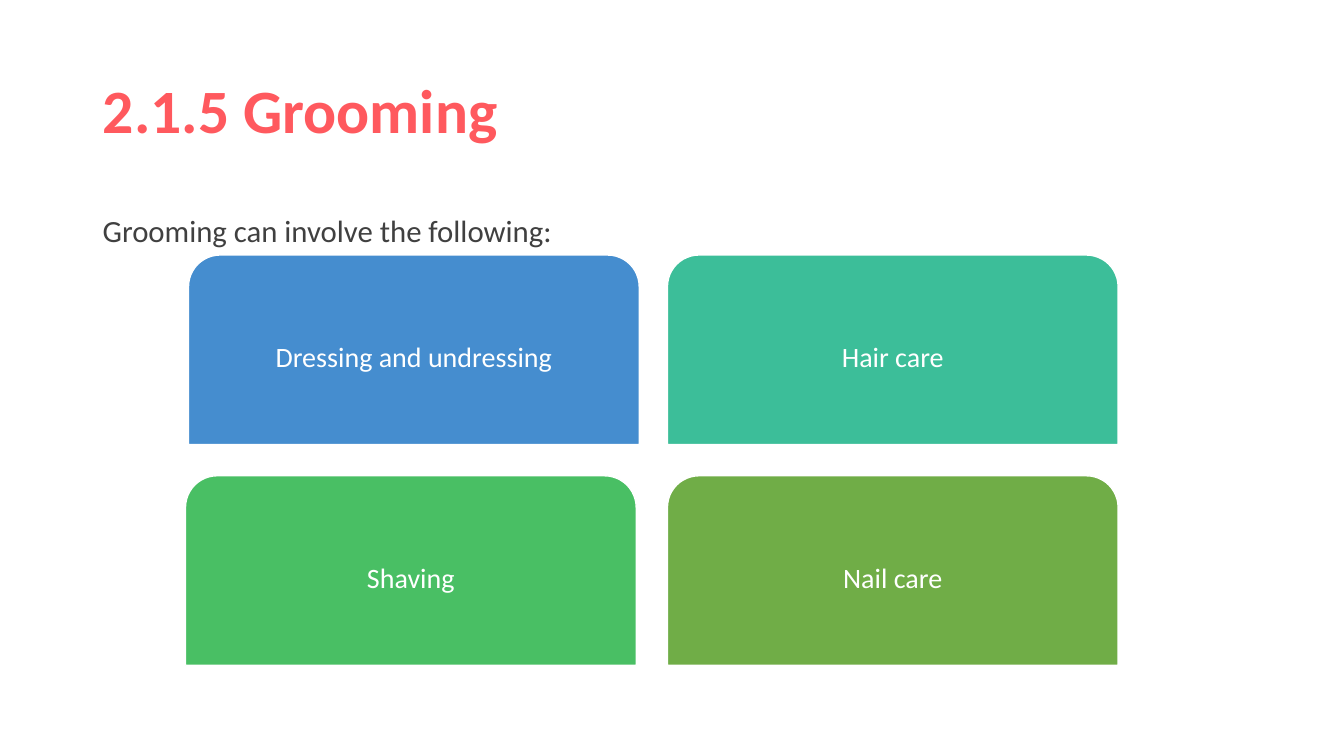
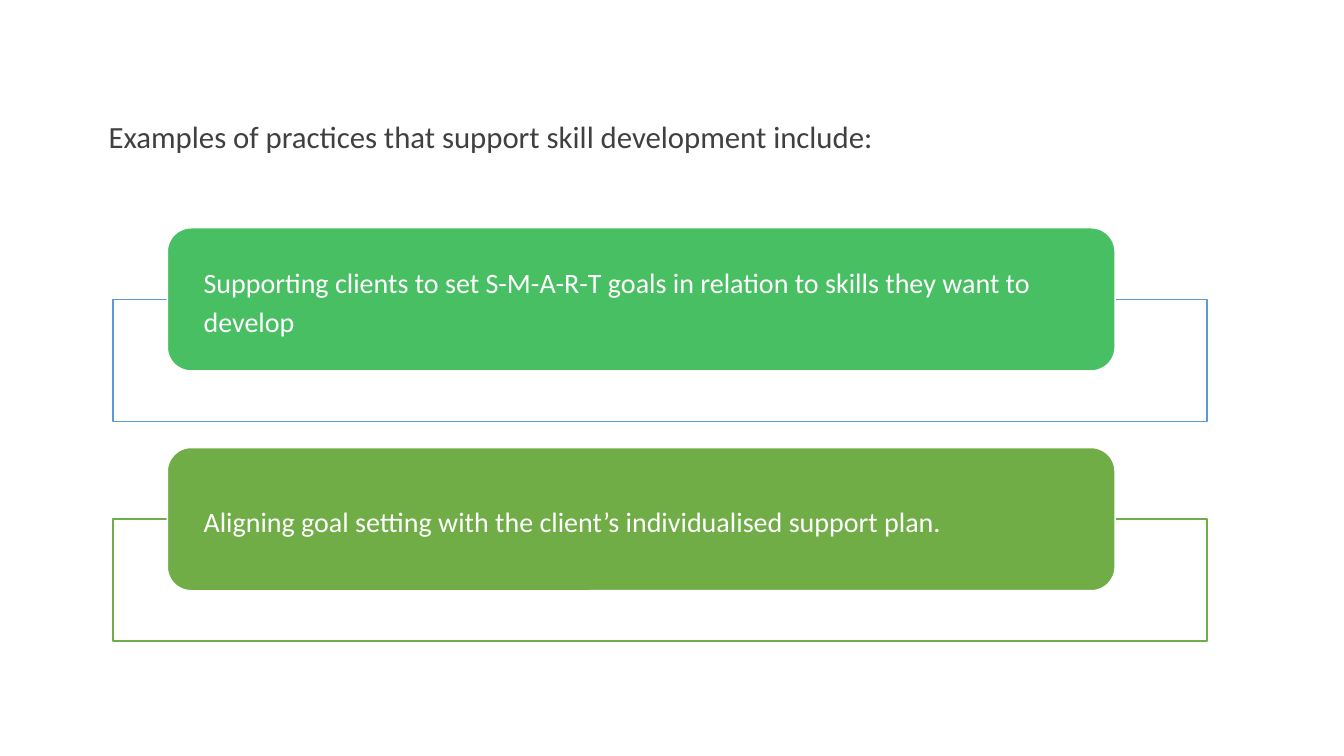
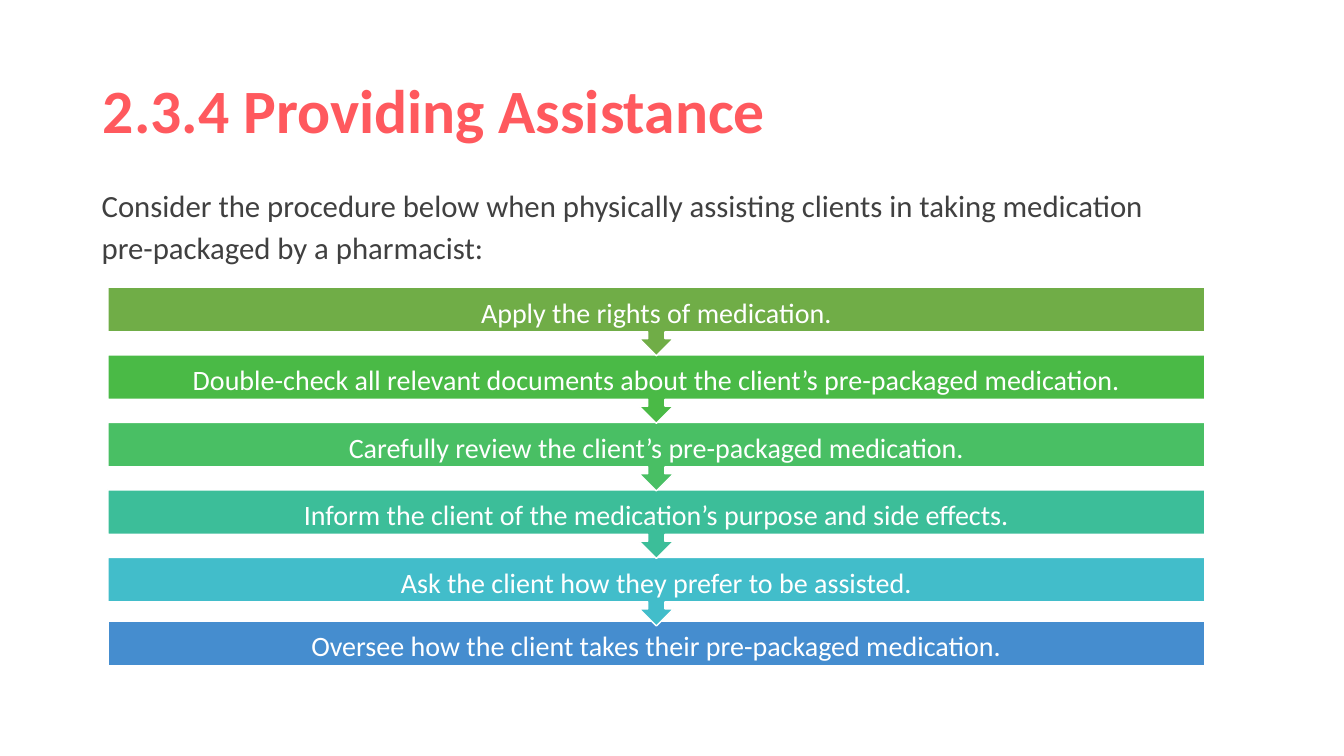
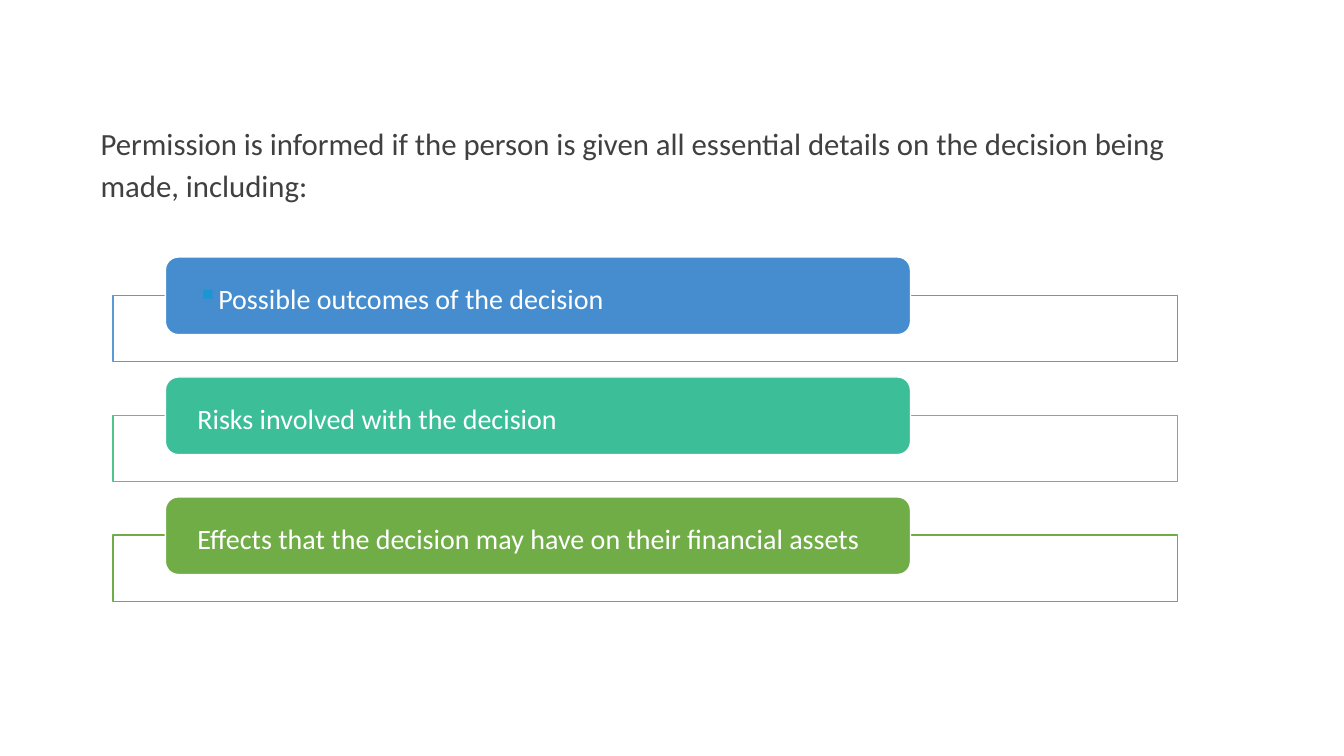
from dataclasses import dataclass

from lxml.etree import SubElement
from pptx import Presentation
from pptx.dml.color import RGBColor
from pptx.enum.shapes import MSO_SHAPE
from pptx.enum.text import MSO_ANCHOR, PP_ALIGN
from pptx.oxml.ns import qn
from pptx.util import Inches, Pt

FONT = "Calibri"
WHITE = "FFFFFF"
CORAL = "FF595E"
GREY = "404040"
BLUE = "458DCF"
SKY = "5B9BD5"
CYAN = "42BDCA"
TEAL = "3CBE99"
MINT = "4DC58D"
GREEN = "49BF64"
LEAF = "4ABA46"
OLIVE = "70AD47"
DOT = "1C96D3"


@dataclass(frozen=True)
class Box:
    left: float
    top: float
    width: float
    height: float

    def spans(self) -> list:
        return [Inches(v) for v in (self.left, self.top, self.width, self.height)]


@dataclass(frozen=True)
class Item:
    text: str
    fill: str
    line: str = WHITE
    mark: str = ""


@dataclass(frozen=True)
class Stack:
    frame: Box
    label: Box
    step: float
    inset: float


def paint(hue: str) -> RGBColor:
    return RGBColor.from_string(hue)


def write(shape, text: str, *, size: float = 20, hue: str = WHITE, bold: bool = False,
          align=PP_ALIGN.LEFT, anchor=MSO_ANCHOR.MIDDLE, space: float = 1.14,
          after: float = 6, inset: tuple = (0.1, 0.05), mark: str = "") -> None:
    frame = shape.text_frame
    frame.word_wrap = True
    frame.vertical_anchor = anchor
    frame.margin_left = frame.margin_right = Inches(inset[0])
    frame.margin_top = frame.margin_bottom = Inches(inset[1])
    para = frame.paragraphs[0]
    para.text = text
    if mark:
        props = para._p.get_or_add_pPr()
        props.set("marL", "0")
        props.set("indent", "0")
        tint = SubElement(props, qn("a:buClr"))
        SubElement(tint, qn("a:srgbClr")).set("val", DOT)
        SubElement(props, qn("a:buChar")).set("char", mark)
    para.alignment = align
    para.line_spacing = space
    para.space_before = Pt(0)
    para.space_after = Pt(after)
    font = para.font
    font.name = FONT
    font.size = Pt(size)
    font.bold = bold
    font.color.rgb = paint(hue)


def draw(slide, kind, box: Box, fill: str, line: str = WHITE):
    shape = slide.shapes.add_shape(kind, *box.spans())
    shape.shadow.inherit = False
    shape.fill.solid()
    shape.fill.fore_color.rgb = paint(fill)
    shape.line.color.rgb = paint(line)
    shape.line.width = Pt(1)
    return shape


def start(deck, lead: str, left: float, top: float, title: str = ""):
    slide = deck.slides.add_slide(deck.slide_layouts[5 if title else 6])
    if title:
        head = slide.shapes.title
        head.left, head.top, head.width, head.height = Box(0.92, 0.4, 11.03, 1.45).spans()
        write(head, title, size=44, hue=CORAL, bold=True, space=0.9, after=0)
    body = slide.shapes.add_textbox(*Box(left, top, 11.03, 4.76).spans())
    write(body, lead, size=22, hue=GREY, anchor=MSO_ANCHOR.TOP)
    return slide


def tiles(slide, rows: list) -> None:
    for row, (left, pair) in enumerate(rows):
        for x, item in zip((left, 6.62), pair):
            box = Box(x, 2.53 + 2.19 * row, 4.47, 1.88)
            tile = draw(slide, MSO_SHAPE.ROUND_2_SAME_RECTANGLE, box, item.fill)
            write(tile, item.text, align=PP_ALIGN.CENTER, inset=(0.08, 0.08))


def stack(slide, plan: Stack, items: list) -> None:
    for i, item in enumerate(items):
        frame, label = (Box(b.left, b.top + i * plan.step, b.width, b.height)
                        for b in (plan.frame, plan.label))
        draw(slide, MSO_SHAPE.RECTANGLE, frame, WHITE, item.line)
        card = draw(slide, MSO_SHAPE.ROUNDED_RECTANGLE, label, item.fill)
        write(card, item.text, inset=(plan.inset, 0), mark=item.mark)


def flow(slide, items: list) -> None:
    last = len(items) - 1
    for i, item in reversed(list(enumerate(items))):
        if i == last:
            kind, box = MSO_SHAPE.RECTANGLE, Box(1.07, 6.16, 10.88, 0.44)
        else:
            kind, box = MSO_SHAPE.DOWN_ARROW_CALLOUT, Box(1.07, 2.85 + 0.67 * i, 10.88, 0.68)
        bar = draw(slide, kind, box, item.fill)
        write(bar, item.text, align=PP_ALIGN.CENTER, inset=(0.16, 0.16))


def main() -> None:
    deck = Presentation()
    deck.slide_width, deck.slide_height = Inches(13.33), Inches(7.5)

    slide = start(deck, "Grooming can involve the following:", 0.92, 2, "2.1.5 Grooming")
    tiles(slide, [
        (1.87, (Item("Dressing and undressing", BLUE), Item("Hair care", TEAL))),
        (1.84, (Item("Shaving", GREEN), Item("Nail care", OLIVE))),
    ])

    slide = start(deck, "Examples of practices that support skill development include:", 0.98, 1.07)
    stack(slide, Stack(Box(1.12, 2.97, 10.85, 1.21), Box(1.66, 2.26, 9.4, 1.42), 2.18, 0.29), [
        Item("Supporting clients to set S-M-A-R-T goals in relation to skills they want to develop",
             GREEN, SKY),
        Item("Aligning goal setting with the client’s individualised support plan.", OLIVE, OLIVE),
    ])

    slide = start(deck, "Consider the procedure below when physically assisting clients in taking "
                  "medication pre-packaged by a pharmacist:", 0.91, 1.75,
                  "2.3.4 Providing Assistance")
    flow(slide, [
        Item("Apply the rights of medication.", OLIVE),
        Item("Double-check all relevant documents about the client’s pre-packaged medication.", LEAF),
        Item("Carefully review the client’s pre-packaged medication.", GREEN),
        Item("Inform the client of the medication’s purpose and side effects.", TEAL),
        Item("Ask the client how they prefer to be assisted.", CYAN),
        Item("Oversee how the client takes their pre-packaged medication.", BLUE),
    ])

    slide = start(deck, "Permission is informed if the person is given all essential details on "
                  "the decision being made, including:", 0.9, 1.14)
    stack(slide, Stack(Box(1.12, 2.93, 10.56, 0.66), Box(1.64, 2.55, 7.39, 0.77), 1.19, 0.28), [
        Item("Possible outcomes of the decision", BLUE, SKY, "▪"),
        Item("Risks involved with the decision", TEAL, MINT),
        Item("Effects that the decision may have on their financial assets", OLIVE, OLIVE),
    ])

    deck.save("out.pptx")


if __name__ == "__main__":
    main()
